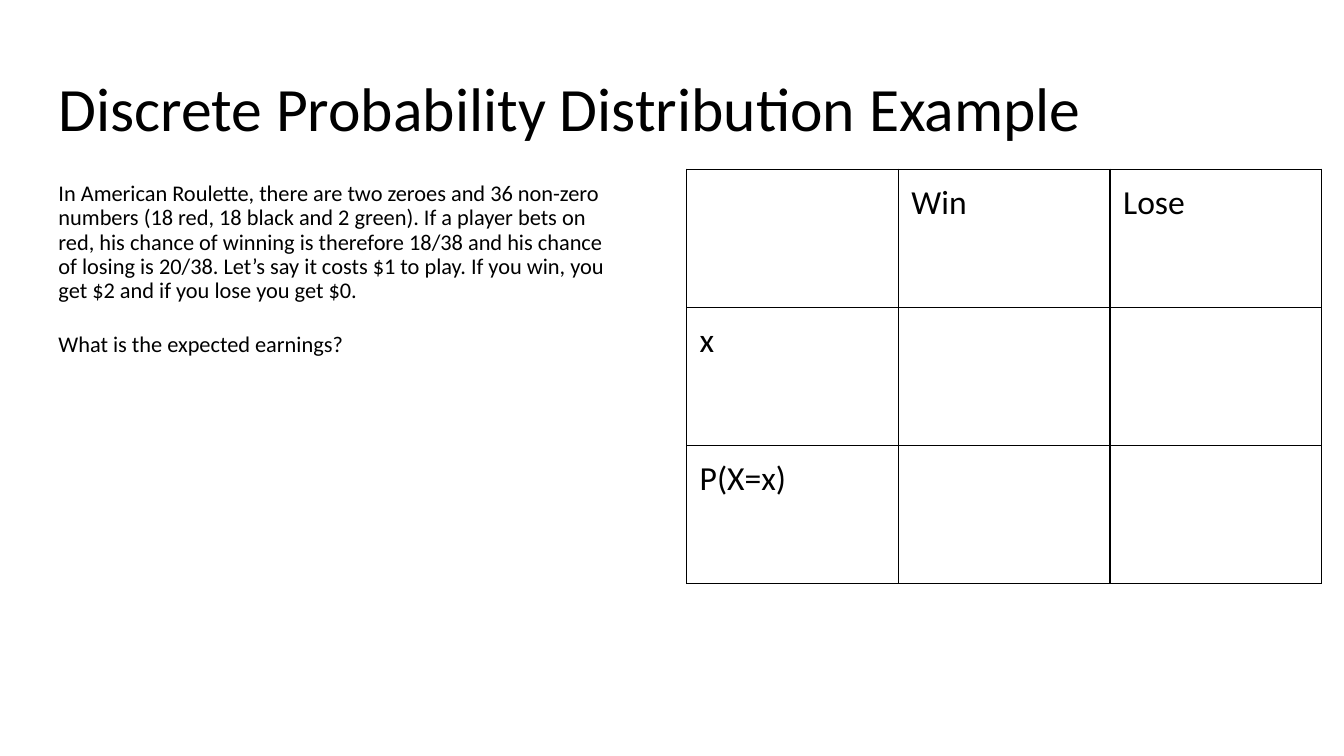
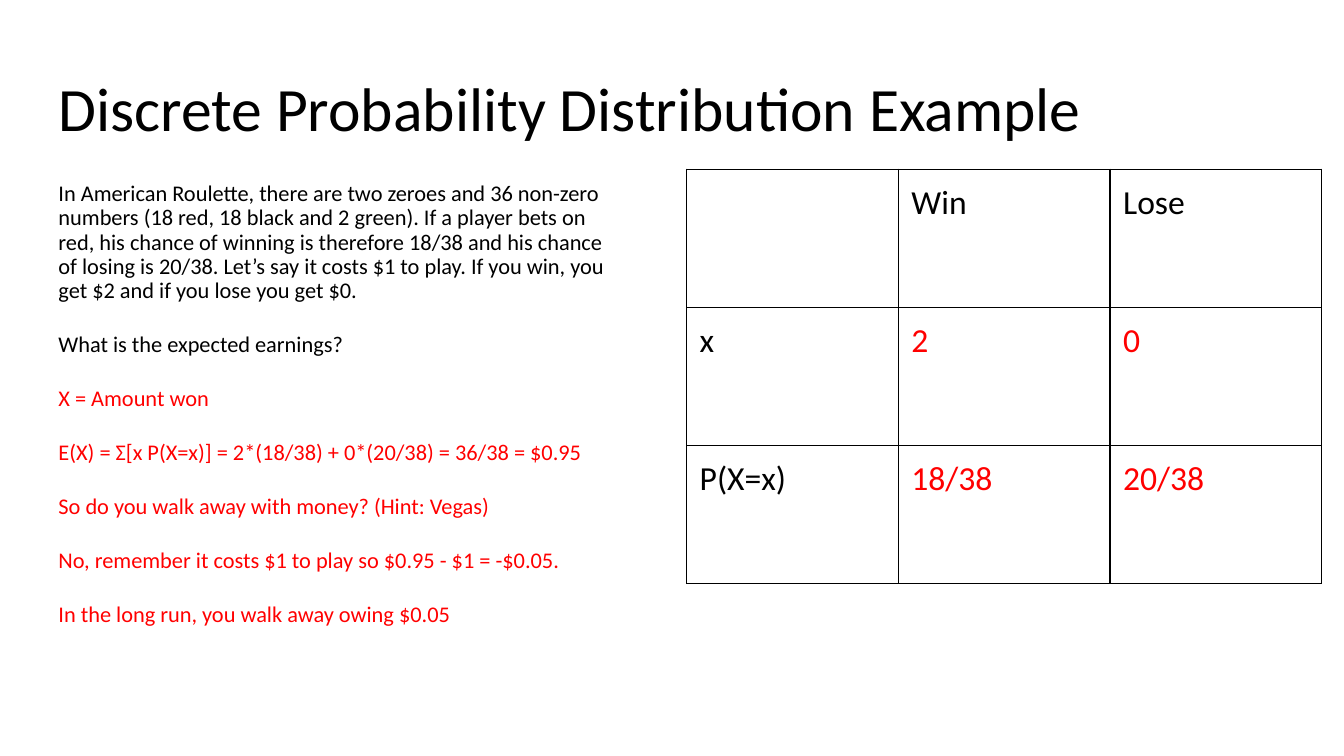
from lxml.etree import SubElement
from pptx import Presentation
from pptx.dml.color import RGBColor
from pptx.enum.text import MSO_ANCHOR as Anchor, MSO_AUTO_SIZE as AutoSize, PP_ALIGN as Align
from pptx.oxml.ns import qn
from pptx.util import Pt

PX = 9144
COLORS = {"text": "000000", "answer": "FF0000", "border": "000000"}
FONT = "Calibri"
INSET = 13
TITLE = "Discrete Probability Distribution Example"
TABLE_LEFT, CONTENT_TOP = 681, 168
COLUMN_WIDTH, ROW_HEIGHT = 210, 137

QUESTION = [
    "In American Roulette, there are two zeroes and 36 non-zero numbers "
    "(18 red, 18 black and 2 green). If a player bets on red, his chance of "
    "winning is therefore 18/38 and his chance of losing is 20/38. Let’s say "
    "it costs $1 to play. If you win, you get $2 and if you lose you get $0.",
    "What is the expected earnings?",
]
ANSWER = [
    "X = Amount won",
    "E(X) = Σ[x P(X=x)] = 2*(18/38) + 0*(20/38) = 36/38 = $0.95",
    "So do you walk away with money? (Hint: Vegas)",
    "No, remember it costs $1 to play so $0.95 - $1 = -$0.05.",
    "In the long run, you walk away owing $0.05",
]
SLIDES = [
    {"answer": [], "body_height": 498, "values": [["", ""], ["", ""]]},
    {"answer": ANSWER, "body_height": 566, "values": [["2", "0"], ["18/38", "20/38"]]},
]


def add_text(para, text, size, color):
    para.alignment = Align.LEFT
    span = para.add_run()
    span.text = text
    span.font.name = FONT
    span.font.size = Pt(size)
    span.font.color.rgb = RGBColor.from_string(COLORS[color])


def place_text(box, left, top, width, height):
    box.left, box.top = left * PX, top * PX
    box.width, box.height = width * PX, height * PX
    frame = box.text_frame
    frame.word_wrap = True
    frame.auto_size = AutoSize.NONE
    frame.vertical_anchor = Anchor.TOP
    frame.margin_left = frame.margin_right = INSET * PX
    frame.margin_top = frame.margin_bottom = INSET * PX
    return frame


deck = Presentation()
deck.slide_width, deck.slide_height = 1333 * PX, 750 * PX

for content in SLIDES:
    page = deck.slides.add_slide(deck.slide_layouts[1])

    title_para = place_text(page.shapes.title, 45, 65, 1242, 84).paragraphs[0]
    title_para.line_spacing = 0.9
    add_text(title_para, TITLE, 44, "text")

    body = place_text(page.placeholders[1], 45, CONTENT_TOP, 583, content["body_height"])
    lines = [(text, "text") for text in QUESTION] + [(text, "answer") for text in content["answer"]]
    for index, (text, color) in enumerate(lines):
        para = body.add_paragraph() if index else body.paragraphs[0]
        para.line_spacing = 0.9
        para.space_before = Pt(21.3 if index else 0)
        properties = para._p.get_or_add_pPr()
        properties.set("marL", "0")
        properties.set("indent", "0")
        SubElement(properties, qn("a:buNone"))
        add_text(para, text, 16, color)

    rows = [["", "Win", "Lose"]]
    rows += [[label, *values] for label, values in zip(["x", "P(X=x)"], content["values"])]
    table = page.shapes.add_table(
        3, 3, TABLE_LEFT * PX, CONTENT_TOP * PX, 3 * COLUMN_WIDTH * PX, 3 * ROW_HEIGHT * PX
    ).table
    table.first_row = table.horz_banding = False
    for column in table.columns:
        column.width = COLUMN_WIDTH * PX
    for row_index, row in enumerate(rows):
        table.rows[row_index].height = ROW_HEIGHT * PX
        for column_index, text in enumerate(row):
            cell = table.cell(row_index, column_index)
            cell.margin_left = cell.margin_right = INSET * PX
            cell.margin_top = cell.margin_bottom = INSET * PX
            properties = cell._tc.get_or_add_tcPr()
            for side in ("lnL", "lnR", "lnT", "lnB"):
                border = SubElement(properties, qn(f"a:{side}"), w=str(Pt(1)))
                fill = SubElement(border, qn("a:solidFill"))
                SubElement(fill, qn("a:srgbClr"), val=COLORS["border"])
            cell.fill.background()
            if text:
                color = "answer" if row_index and column_index else "text"
                add_text(cell.text_frame.paragraphs[0], text, 24, color)

deck.save("out.pptx")
